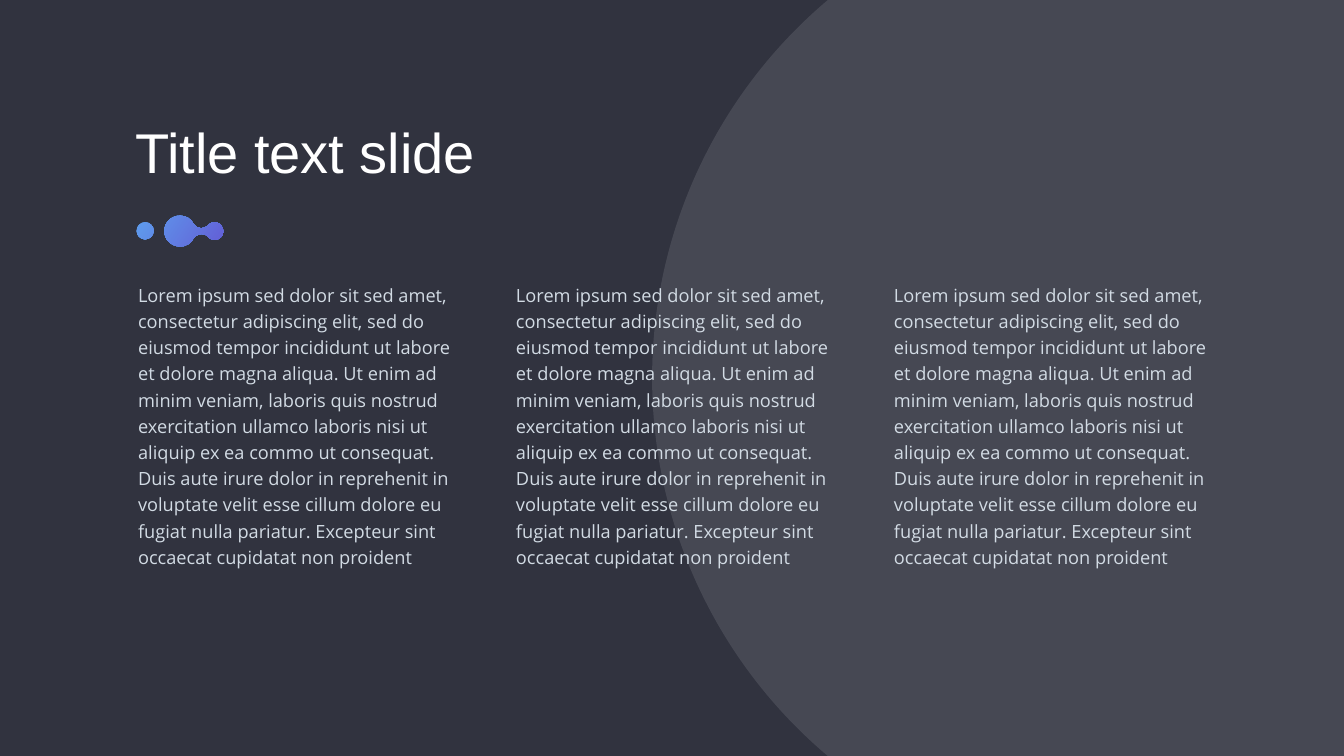
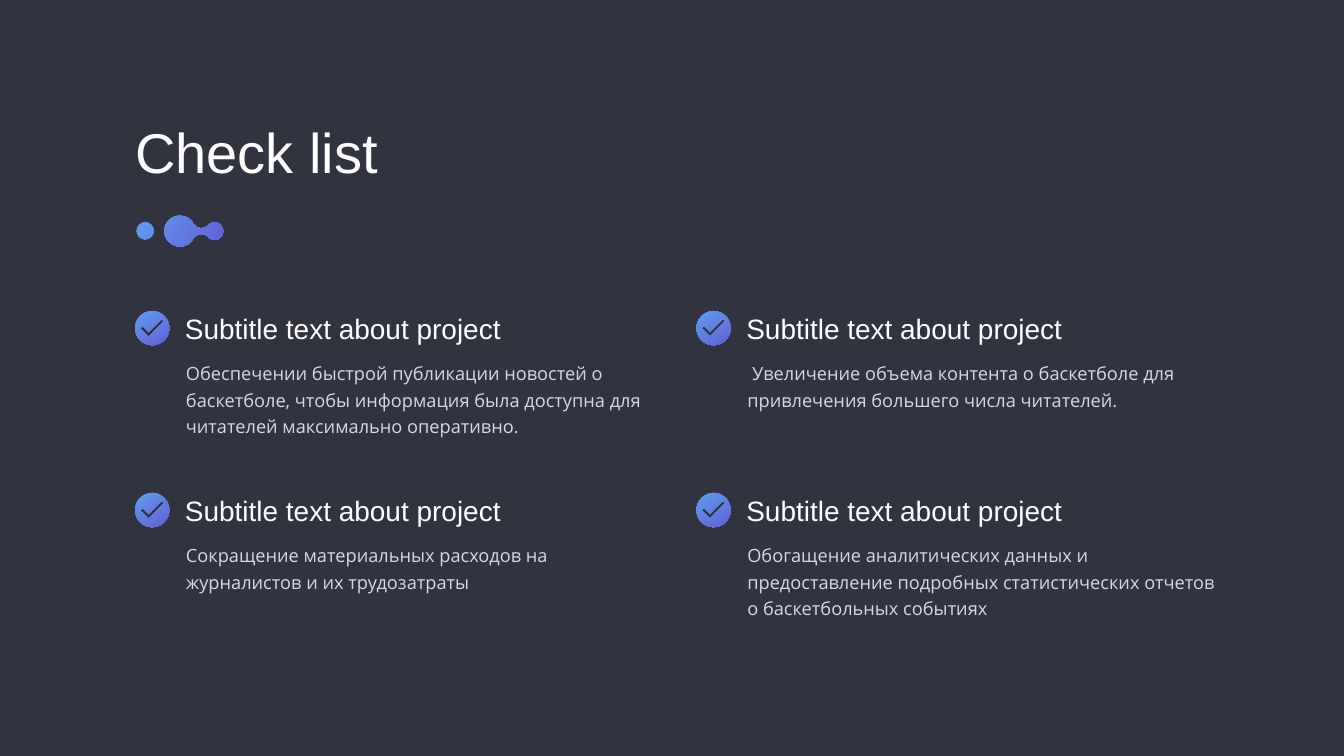
from lxml.etree import SubElement
from pptx import Presentation
from pptx.dml.color import RGBColor
from pptx.enum.shapes import MSO_SHAPE
from pptx.enum.text import MSO_ANCHOR, MSO_AUTO_SIZE, PP_ALIGN
from pptx.oxml.ns import qn
from pptx.util import Inches, Pt

COLORS = {"night": "31333F", "disc": "464853", "heading": "FFFFFF", "copy": "D2DBE4",
          "sky": "5E9EEE", "violet": "635ED6"}
HEADING_FONT, COPY_FONT = "Arial", "Open Sans"
TITLE_ONLY = 5
LOREM = ("Lorem ipsum sed dolor sit sed amet, consectetur adipiscing elit, sed do eiusmod tempor "
         "incididunt ut labore et dolore magna aliqua. Ut enim ad minim veniam, laboris quis nostrud "
         "exercitation ullamco laboris nisi ut aliquip ex ea commo ut consequat. Duis aute irure dolor "
         "in reprehenit in voluptate velit esse cillum dolore eu fugiat nulla pariatur. Excepteur sint "
         "occaecat cupidatat non proident")
SUBTITLE = "Subtitle text about project"
GOALS = [
    ("Обеспечении быстрой публикации новостей о баскетболе, чтобы информация была доступна "
     "для читателей максимально оперативно.", 1.65),
    (" Увеличение объема контента о баскетболе для привлечения большего числа читателей.", 1.13),
    ("Сокращение материальных расходов на журналистов и их трудозатраты", 1.13),
    ("Обогащение аналитических данных и предоставление подробных статистических отчетов "
     "о баскетбольных событиях", 1.65),
]
BLOB = [
    (0.87, 0),
    (0.70, -0.01, 0.55, 0.13, 0.55, 0.30), (0.55, 0.47, 0.68, 0.60, 0.85, 0.61),
    (0.97, 0.62, 1.08, 0.55, 1.13, 0.45), (1.16, 0.41, 1.20, 0.38, 1.24, 0.37),
    (1.31, 0.35, 1.37, 0.37, 1.42, 0.42), (1.52, 0.54, 1.72, 0.47, 1.72, 0.31),
    (1.72, 0.14, 1.52, 0.07, 1.42, 0.19), (1.38, 0.23, 1.33, 0.25, 1.28, 0.25),
    (1.22, 0.25, 1.16, 0.21, 1.13, 0.16), (1.08, 0.06, 0.98, 0, 0.87, 0),
]
CHECK_MARK = [(0.27, 0.51), (0.10, 0.34), (0.15, 0.30), (0.27, 0.42), (0.53, 0.16),
              (0.57, 0.20), (0.27, 0.51)]


def color(name):
    """Return a palette colour."""
    return RGBColor.from_string(COLORS[name])


def circle(x, y, r):
    """Return a circle as a start point and four curves."""
    k = 0.55 * r
    return [(x, y - r),
            (x - k, y - r, x - r, y - k, x - r, y), (x - r, y + k, x - k, y + r, x, y + r),
            (x + k, y + r, x + r, y + k, x + r, y), (x + r, y - k, x + k, y - r, x, y - r)]


def bend_segments(outline, left, top, contours):
    """Turn the straight segments into curves where control points are given."""
    segments = [segment for contour in contours for segment in contour[1:]]
    for line, segment in zip(list(outline.element.iter(qn("a:lnTo"))), segments):
        if len(segment) == 2:
            continue
        curve = line.makeelement(qn("a:cubicBezTo"))
        for x, y in zip(segment[::2], segment[1::2]):
            SubElement(curve, qn("a:pt"), x=str(Inches(left + x) - outline.left),
                       y=str(Inches(top + y) - outline.top))
        line.getparent().replace(line, curve)


def add_gradient_outline(slide, left, top, contours, angle):
    """Draw closed contours as one shape with the accent gradient."""
    anchors = [[(Inches(left + segment[-2]), Inches(top + segment[-1])) for segment in contour]
               for contour in contours]
    builder = slide.shapes.build_freeform(*anchors[0][0])
    for index, (start, *ends) in enumerate(anchors):
        if index:
            builder.move_to(*start)
        builder.add_line_segments(ends, close=True)
    outline = builder.convert_to_shape()
    bend_segments(outline, left, top, contours)
    outline.shadow.inherit = False
    outline.line.fill.background()
    outline.fill.gradient()
    outline.fill.gradient_angle = 360 - angle
    for stop, name, position in zip(outline.fill.gradient_stops, ("sky", "violet"), (0, 1)):
        stop.color.rgb = color(name)
        stop.position = position


def fill_text(holder, text, size, font_name, color_name, anchor):
    """Put one formatted paragraph in a text holder and return it."""
    frame = holder.text_frame
    frame.text = text
    frame.word_wrap = True
    frame.auto_size = MSO_AUTO_SIZE.SHAPE_TO_FIT_TEXT
    frame.vertical_anchor = anchor
    frame.margin_left = frame.margin_right = frame.margin_top = frame.margin_bottom = Inches(0.06)
    paragraph = frame.paragraphs[0]
    paragraph.alignment = PP_ALIGN.LEFT
    font = paragraph.runs[0].font
    font.size, font.name = Pt(size), font_name
    font.color.rgb = color(color_name)
    return paragraph


def add_copy(slide, left, top, width, height, text):
    """Add a block of running copy."""
    block = slide.shapes.add_textbox(Inches(left), Inches(top), Inches(width), Inches(height))
    paragraph = fill_text(block, text, 26, COPY_FONT, "copy", MSO_ANCHOR.TOP)
    paragraph.line_spacing = 1.2
    paragraph.space_before = Pt(20)


def add_header(slide, left, top, width, text):
    """Place the slide title and the emblem below it."""
    title = slide.shapes.title
    title.left, title.top = Inches(left), Inches(top)
    title.width, title.height = Inches(width), Inches(1.42)
    fill_text(title, text, 80, HEADING_FONT, "heading", MSO_ANCHOR.MIDDLE)
    add_gradient_outline(slide, left + 0.09, top + 2, [BLOB, circle(0.17, 0.3, 0.17)], 34)


def add_backdrop_disc(slide, left, top, diameter):
    """Place the large disc behind everything else."""
    disc = slide.shapes.add_shape(MSO_SHAPE.OVAL, Inches(left), Inches(top),
                                  Inches(diameter), Inches(diameter))
    disc.shadow.inherit = False
    disc.fill.solid()
    disc.fill.fore_color.rgb = color("disc")
    disc.line.fill.background()
    disc.element.getparent().insert(2, disc.element)


def add_goal(slide, left, top, text, text_height):
    """Place a check badge with its subtitle and copy."""
    add_copy(slide, left + 0.95, top + 0.91, 9.47, text_height, text)
    subtitle = slide.shapes.add_textbox(Inches(left + 0.93), Inches(top), Inches(7.52), Inches(0.76))
    fill_text(subtitle, SUBTITLE, 40, HEADING_FONT, "heading", MSO_ANCHOR.MIDDLE)
    add_gradient_outline(slide, left, top + 0.03, [circle(0.34, 0.34, 0.34), CHECK_MARK], 57)


def build_columns_slide(prs):
    """Build the slide with three columns of copy."""
    slide = prs.slides.add_slide(prs.slide_layouts[TITLE_ONLY])
    add_backdrop_disc(slide, 12.94, -2.31, 19.62)
    add_header(slide, 2.62, 2.28, 9.97, "Title text slide")
    for column in range(3):
        add_copy(slide, 2.68 + 7.5 * column, 5.49, 6.33, 6.61, LOREM)


def build_checklist_slide(prs):
    """Build the slide with the two by two check list."""
    slide = prs.slides.add_slide(prs.slide_layouts[TITLE_ONLY])
    add_header(slide, 2.62, 2.28, 13.18, "Check list")
    for index, (text, text_height) in enumerate(GOALS):
        row, column = divmod(index, 2)
        add_goal(slide, 2.68 + 11.14 * column, 6.14 + 3.61 * row, text, text_height)


def main():
    """Build and save the presentation."""
    prs = Presentation()
    prs.slide_width, prs.slide_height = Inches(26.67), Inches(15)
    backdrop = prs.slide_master.background.fill
    backdrop.solid()
    backdrop.fore_color.rgb = color("night")
    build_columns_slide(prs)
    build_checklist_slide(prs)
    prs.save("out.pptx")


if __name__ == "__main__":
    main()
